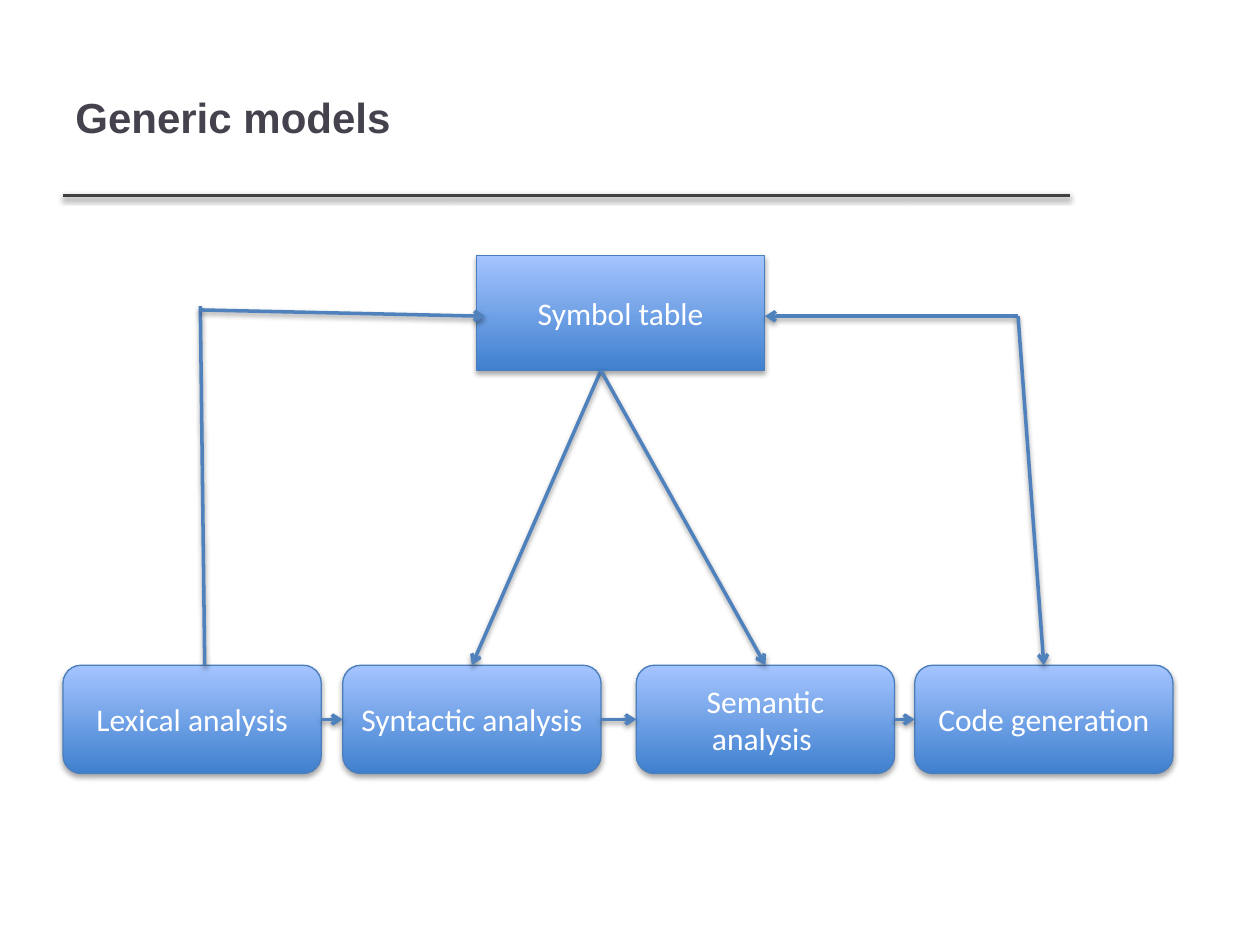
from dataclasses import dataclass
from itertools import pairwise

from lxml.etree import SubElement
from pptx import Presentation
from pptx.dml.color import RGBColor
from pptx.enum.shapes import MSO_CONNECTOR, MSO_SHAPE
from pptx.enum.text import MSO_ANCHOR, PP_ALIGN
from pptx.oxml.ns import qn
from pptx.util import Inches, Pt


@dataclass(frozen=True)
class Theme:
    title_color: str = "46424D"
    rule_color: str = "404040"
    box_bottom: str = "3F80CE"
    box_top: str = "A4C4FF"
    box_border: str = "4B7EBC"
    box_text: str = "FFFFFF"
    arrow_color: str = "4F81BD"
    shadow_color: str = "000000"
    title_font: str = "Arial"
    box_font: str = "Calibri"
    title_size: int = 24
    box_size: int = 18
    border_width: float = 0.75
    line_width: int = 2


class DiagramSlide:
    COLUMNS, ROWS = 100, 75

    def __init__(self, deck, theme):
        self.theme = theme
        self.slide = deck.slides.add_slide(deck.slide_layouts[6])
        self.column = deck.slide_width / self.COLUMNS
        self.row = deck.slide_height / self.ROWS

    def place(self, *lengths):
        units = (self.column, self.row) * 2
        return [round(length * unit) for length, unit in zip(lengths, units)]

    def style_text(self, paragraph, font, size, color, bold=False):
        for run in paragraph.runs:
            run.font.name = font
            run.font.size = Pt(size)
            run.font.bold = bold
            run.font.color.rgb = RGBColor.from_string(color)

    def add_shadow(self, effects, opacity, distance):
        shadow = SubElement(
            effects, qn("a:outerShdw"), blurRad=str(Pt(3.1)),
            dist=str(Pt(distance)), dir="5400000", rotWithShape="0")
        color = SubElement(shadow, qn("a:srgbClr"), val=self.theme.shadow_color)
        SubElement(color, qn("a:alpha"), val=str(opacity * 1000))

    def title(self, wording, area):
        frame = self.slide.shapes.add_textbox(*self.place(*area)).text_frame
        frame.word_wrap = True
        frame.vertical_anchor = MSO_ANCHOR.MIDDLE
        frame.text = wording
        self.style_text(frame.paragraphs[0], self.theme.title_font,
                        self.theme.title_size, self.theme.title_color, bold=True)

    def box(self, wording, area, outline=MSO_SHAPE.ROUNDED_RECTANGLE):
        box = self.slide.shapes.add_shape(outline, *self.place(*area))
        box.fill.gradient()
        box.fill.gradient_angle = 90
        colors = (self.theme.box_bottom, self.theme.box_top)
        for position, (stop, color) in enumerate(zip(box.fill.gradient_stops, colors)):
            stop.position = position
            stop.color.rgb = RGBColor.from_string(color)
        box.line.color.rgb = RGBColor.from_string(self.theme.box_border)
        box.line.width = Pt(self.theme.border_width)
        box.shadow.inherit = False
        self.add_shadow(box.element.spPr.find(qn("a:effectLst")), 35, 1.8)
        frame = box.text_frame
        frame.vertical_anchor = MSO_ANCHOR.MIDDLE
        frame.text = wording
        frame.paragraphs[0].alignment = PP_ALIGN.CENTER
        self.style_text(frame.paragraphs[0], self.theme.box_font,
                        self.theme.box_size, self.theme.box_text)

    def line(self, start, end, color):
        line = self.slide.shapes.add_connector(
            MSO_CONNECTOR.STRAIGHT, *self.place(*start, *end))
        line.line.color.rgb = RGBColor.from_string(color)
        line.line.width = Pt(self.theme.line_width)
        self.add_shadow(SubElement(line.element.spPr, qn("a:effectLst")), 38, 1.6)
        return line

    def rule(self, start, end):
        self.line(start, end, self.theme.rule_color)

    def link(self, start, end, arrow=True):
        link = self.line(start, end, self.theme.arrow_color)
        if arrow:
            SubElement(link.line._get_or_add_ln(), qn("a:tailEnd"), type="arrow")


def main():
    deck = Presentation()
    deck.slide_width, deck.slide_height = Inches(10), Inches(7.5)
    diagram = DiagramSlide(deck, Theme())

    diagram.rule((5, 15.5), (84.9, 15.5))
    diagram.title("Generic models", (5, 3, 79.8, 12.5))

    table_left, table_top, table_width, table_height = 37.8, 20.3, 22.9, 9.1
    diagram.box("Symbol table", (table_left, table_top, table_width, table_height),
                MSO_SHAPE.RECTANGLE)

    stages = {"Lexical analysis": 5, "Syntactic analysis": 27.2,
              "Semantic analysis ": 50.5, "Code generation": 72.6}
    stage_top, stage_width, stage_height = 52.8, 20.5, 8.6
    for stage, left in stages.items():
        diagram.box(stage, (left, stage_top, stage_width, stage_height))

    lexical, syntactic, semantic, generation = (
        left + stage_width / 2 for left in stages.values())
    table_exit = (47.7, table_top + table_height)
    for target in (syntactic, semantic):
        diagram.link(table_exit, (target, stage_top))

    flow = stage_top + stage_height / 2
    for left, following in pairwise(stages.values()):
        diagram.link((left + stage_width, flow), (following, flow))

    diagram.link((lexical + 1, stage_top), (15.9, 24.3), arrow=False)
    diagram.link((15.9, 24.6), (38.5, 25.1))

    generation_corner = (80.8, 25.1)
    for end in ((table_left + table_width, 25.1), (generation, stage_top)):
        diagram.link(generation_corner, end)

    deck.save("out.pptx")


if __name__ == "__main__":
    main()
